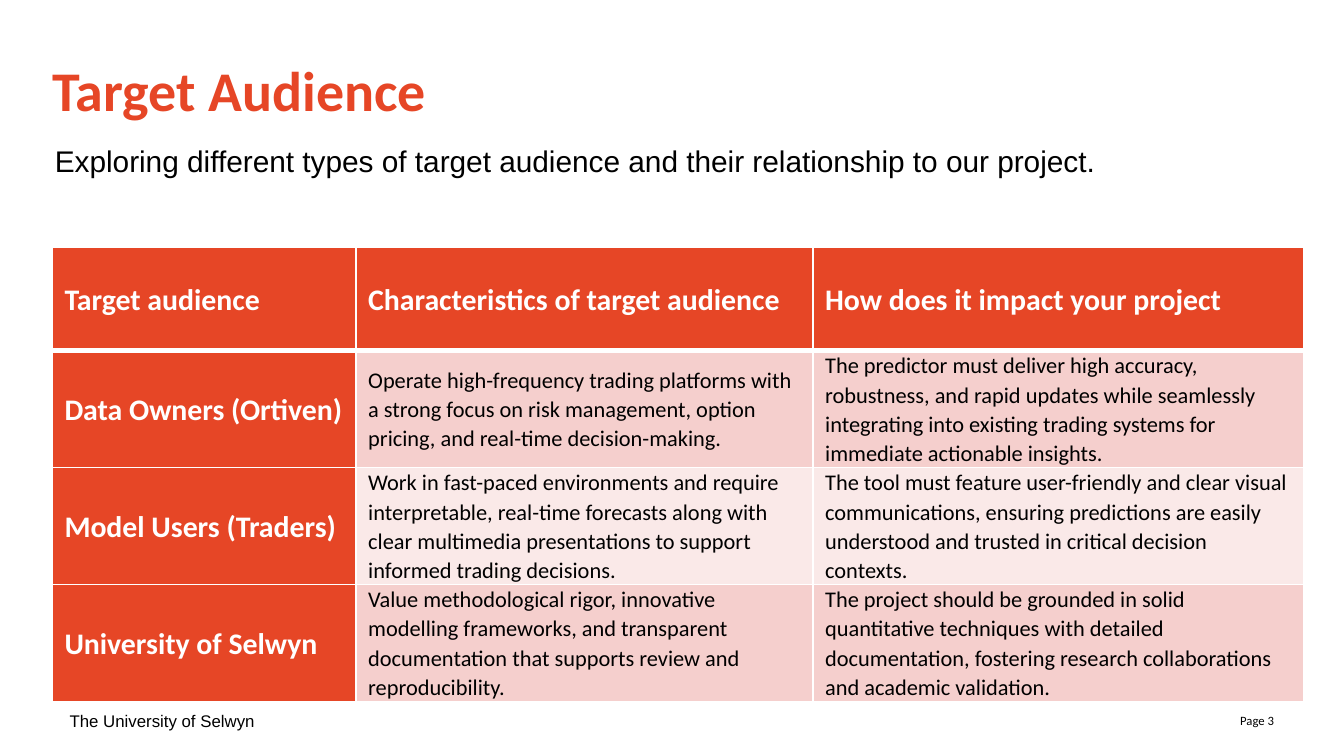
from lxml import etree
from pptx import Presentation
from pptx import util as u
from pptx.dml.color import RGBColor
from pptx.enum import text
from pptx.oxml.ns import qn

COLORS = {
    "accent": "E64626",
    "band_dark": "F5CFCD",
    "band_light": "FAE9E8",
    "ink": "000000",
    "paper": "FFFFFF",
}

TITLE = "Target Audience"
SUBTITLE = "Exploring different types of target audience and their relationship to our project."
FOOTER = "The University of Selwyn"
PAGE = "Page 3"

AUDIENCE_ROWS = [
    ("Target audience", "Characteristics of target audience", "How does it impact your project"),
    (
        "Data Owners (Ortiven)",
        "Operate high-frequency trading platforms with a strong focus on risk management, "
        "option pricing, and real-time decision-making.",
        "The predictor must deliver high accuracy, robustness, and rapid updates while "
        "seamlessly integrating into existing trading systems for immediate actionable insights.",
    ),
    (
        "Model Users (Traders)",
        "Work in fast-paced environments and require interpretable, real-time forecasts along "
        "with clear multimedia presentations to support informed trading decisions.",
        "The tool must feature user-friendly and clear visual communications, ensuring "
        "predictions are easily understood and trusted in critical decision contexts.",
    ),
    (
        "University of Selwyn",
        "Value methodological rigor, innovative modelling frameworks, and transparent "
        "documentation that supports review and reproducibility.",
        "The project should be grounded in solid quantitative techniques with detailed "
        "documentation, fostering research collaborations and academic validation.",
    ),
]
COLUMN_WIDTHS = [2.26, 3.4, 3.65]
ROW_HEIGHT = 0.77
LEFT = 0.39


def rgb(name):
    return RGBColor.from_string(COLORS[name])


def add_run(paragraph, words, size, font="Calibri", color="ink", bold=False):
    run = paragraph.add_run()
    run.text = words
    run.font.size = u.Pt(size)
    run.font.name = font
    run.font.bold = bold
    run.font.color.rgb = rgb(color)


def add_label(slide, box, words, size, font, align=text.PP_ALIGN.LEFT, wrap=True):
    frame = slide.shapes.add_textbox(*map(u.Inches, box)).text_frame
    frame.word_wrap = wrap
    frame.vertical_anchor = text.MSO_ANCHOR.MIDDLE if wrap else text.MSO_ANCHOR.TOP
    frame.auto_size = text.MSO_AUTO_SIZE.NONE if wrap else text.MSO_AUTO_SIZE.SHAPE_TO_FIT_TEXT
    frame.paragraphs[0].alignment = align
    add_run(frame.paragraphs[0], words, size, font)


def set_borders(cell, top, bottom):
    """Draw white cell borders; they must come before the fill in the cell's XML."""
    properties = cell._tc.get_or_add_tcPr()
    widths = {"lnL": 1, "lnR": 1, "lnT": top, "lnB": bottom}
    for index, (side, width) in enumerate(widths.items()):
        line = etree.Element(qn(f"a:{side}"), w=str(u.Pt(width)))
        fill = etree.SubElement(line, qn("a:solidFill"))
        etree.SubElement(fill, qn("a:srgbClr"), val=COLORS["paper"])
        properties.insert(index, line)


def add_audience_table(slide):
    row_count = len(AUDIENCE_ROWS)
    table = slide.shapes.add_table(
        row_count, len(COLUMN_WIDTHS), u.Inches(LEFT), u.Inches(1.84),
        u.Inches(sum(COLUMN_WIDTHS)), u.Inches(ROW_HEIGHT * row_count),
    ).table
    table.first_col = True
    for column, width in zip(table.columns, COLUMN_WIDTHS):
        column.width = u.Inches(width)
    for r, entries in enumerate(AUDIENCE_ROWS):
        table.rows[r].height = u.Inches(ROW_HEIGHT)
        band = "band_dark" if r % 2 else "band_light"
        for c, words in enumerate(entries):
            heading = r == 0 or c == 0
            cell = table.cell(r, c)
            cell.fill.solid()
            cell.fill.fore_color.rgb = rgb("accent" if heading else band)
            cell.vertical_anchor = text.MSO_ANCHOR.MIDDLE
            cell.margin_left = cell.margin_right = u.Inches(0.09)
            cell.margin_top = cell.margin_bottom = 0
            paragraph = cell.text_frame.paragraphs[0]
            paragraph.line_spacing = 1.07
            add_run(paragraph, words, 16 if heading else 12,
                    color="paper" if heading else "ink", bold=heading)
            # The thick header rule is shared with the row below.
            set_borders(cell, top=3 if r == 1 else 1, bottom=3 if r == 0 else 1)


def add_title(slide):
    title = slide.shapes.title
    title.left, title.top, title.width, title.height = map(u.Inches, (LEFT, 0.41, 9.22, 0.53))
    frame = title.text_frame
    frame.margin_left = frame.margin_right = frame.margin_top = frame.margin_bottom = 0
    frame.vertical_anchor = text.MSO_ANCHOR.TOP
    frame.auto_size = text.MSO_AUTO_SIZE.NONE
    frame.paragraphs[0].alignment = text.PP_ALIGN.LEFT
    add_run(frame.paragraphs[0], TITLE, 30, color="accent", bold=True)


def main():
    deck = Presentation()
    deck.slide_width = u.Inches(10)
    deck.slide_height = deck.slide_width * 9 // 16
    slide = deck.slides.add_slide(deck.slide_layouts[5])
    add_label(slide, (7.25, 5.21, 2.33, 0.3), PAGE, 6.8, "Calibri", text.PP_ALIGN.RIGHT)
    add_label(slide, (0.42, 5.21, 2.33, 0.3), FOOTER, 9, "Arial")
    add_title(slide)
    add_audience_table(slide)
    add_label(slide, (0.31, 1.01, 7.97, 0.37), SUBTITLE, 16, "Arial", wrap=False)
    deck.save("out.pptx")


if __name__ == "__main__":
    main()
